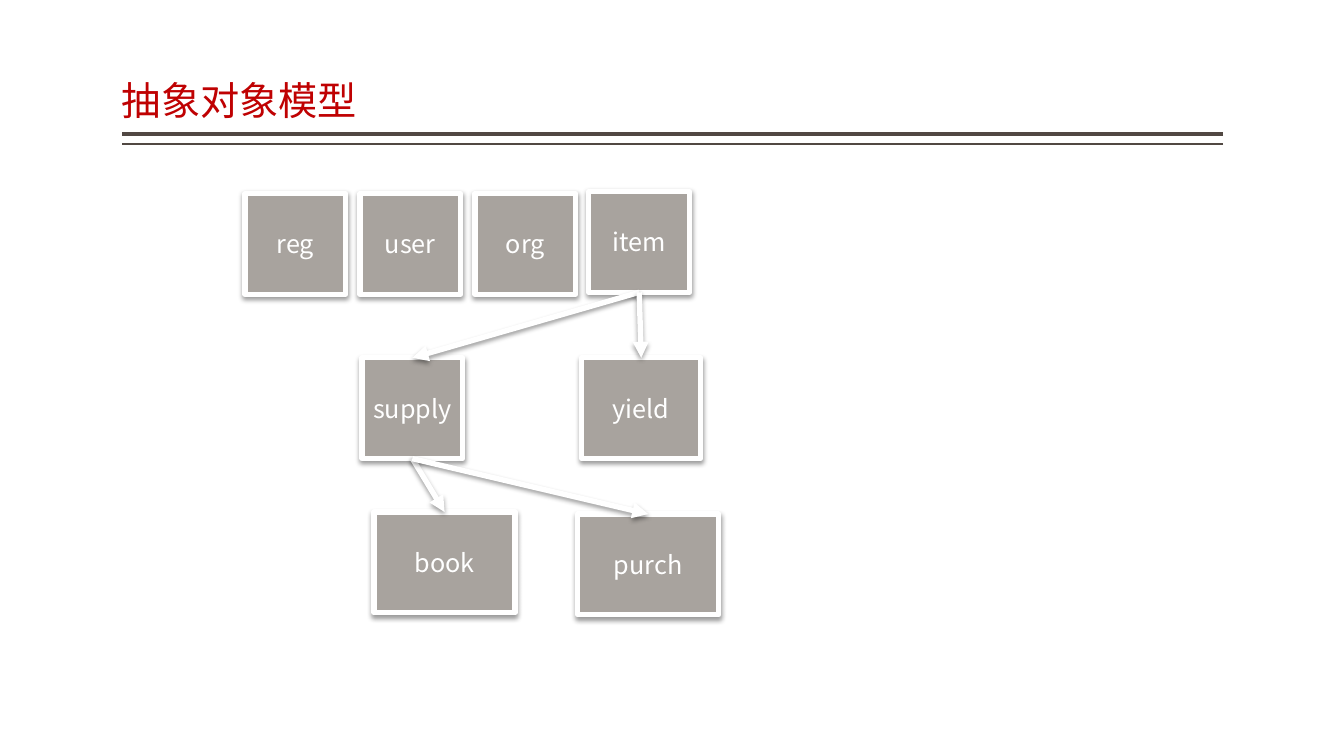
"""Build the slide of the abstract object model: a title, boxes and arrows."""
from lxml.etree import SubElement
from pptx import Presentation
from pptx.dml.color import RGBColor
from pptx.enum.shapes import MSO_CONNECTOR as Connector, MSO_SHAPE as Shape
from pptx.enum.text import MSO_ANCHOR as Anchor, PP_ALIGN as Align
from pptx.oxml.ns import qn
from pptx.util import Inches, Pt

COLORS = {"title": "BF0102", "rule": "514843", "box": "A8A39E", "white": "FFFFFF", "shadow": "000000"}
FONT = "Noto Sans CJK SC"
EDGE = 3.82
LEFT, RIGHT = 1.21, 12.13
COLUMN = 1.14
TOP_SITE, BOTTOM_SITE = 0, 2


def style_text(para, size, color):
    """Set the font of a paragraph for Latin and East Asian text."""
    para.font.name = FONT
    para.font.size = Pt(size)
    para.font.color.rgb = RGBColor.from_string(COLORS[color])
    defaults = para._p.pPr.find(qn("a:defRPr"))
    SubElement(defaults, qn("a:ea"), typeface=FONT)


def style_line(shape, color, width, shadow):
    """Set the outline of a shape and its soft shadow below, if any."""
    shape.line.color.rgb = RGBColor.from_string(COLORS[color])
    shape.line.width = Pt(width)
    effects = SubElement(shape._element.spPr, qn("a:effectLst"))
    if shadow:
        outer = SubElement(effects, qn("a:outerShdw"), blurRad=str(Pt(3.5)), dist=str(Pt(2)),
                           dir="5400000", algn="ctr", rotWithShape="0")
        tint = SubElement(outer, qn("a:srgbClr"), val=COLORS["shadow"])
        SubElement(tint, qn("a:alpha"), val="38000")


deck = Presentation()
deck.slide_width, deck.slide_height = Inches(13.33), Inches(7.5)
page = deck.slides.add_slide(deck.slide_layouts[5])

for y, width in [(1.33, 3), (1.43, 1)]:
    rule = page.shapes.add_connector(Connector.STRAIGHT, Inches(RIGHT), Inches(y), Inches(LEFT), Inches(y))
    style_line(rule, "rule", width, shadow=False)

title = page.shapes.title
title.left, title.top = Inches(LEFT), Inches(0.08)
title.width, title.height = Inches(RIGHT - LEFT), Inches(1.2)
frame = title.text_frame
frame.text = "抽象对象模型"
frame.word_wrap = True
frame.vertical_anchor = Anchor.BOTTOM
frame.margin_left = frame.margin_right = 0
frame.margin_top = frame.margin_bottom = Inches(0.05)
para = frame.paragraphs[0]
para.alignment = Align.LEFT
para.line_spacing = 0.9
style_text(para, 28, "title")

entities = [(name, 2.43 + COLUMN * column, 1.92, 1) for column, name in enumerate(["reg", "user", "org"])]
entities += [
    ("item", 5.84, 1.9, 1),
    ("supply", 3.59, 3.55, 1),
    ("yield", 5.77, 3.55, 1.18),
    ("book", 3.71, 5.08, 1.4),
    ("purch", 5.73, 5.1, 1.4),
]
boxes = {}
for name, left, top, width in entities:
    box = page.shapes.add_shape(Shape.RECTANGLE, Inches(left), Inches(top), Inches(width), Inches(1))
    box.fill.solid()
    box.fill.fore_color.rgb = RGBColor.from_string(COLORS["box"])
    style_line(box, "white", EDGE, shadow=True)
    frame = box.text_frame
    frame.text = name
    frame.word_wrap = True
    frame.vertical_anchor = Anchor.MIDDLE
    frame.margin_left = frame.margin_right = Inches(0.05)
    para = frame.paragraphs[0]
    para.alignment = Align.CENTER
    style_text(para, 18, "white")
    boxes[name] = box

for parent, child in [("supply", "book"), ("supply", "purch"), ("item", "supply"), ("item", "yield")]:
    arrow = page.shapes.add_connector(Connector.STRAIGHT, 0, 0, 0, 0)
    arrow.begin_connect(boxes[parent], BOTTOM_SITE)
    arrow.end_connect(boxes[child], TOP_SITE)
    style_line(arrow, "white", EDGE, shadow=True)
    SubElement(arrow.line._get_or_add_ln(), qn("a:tailEnd"), type="triangle")

deck.save("out.pptx")
